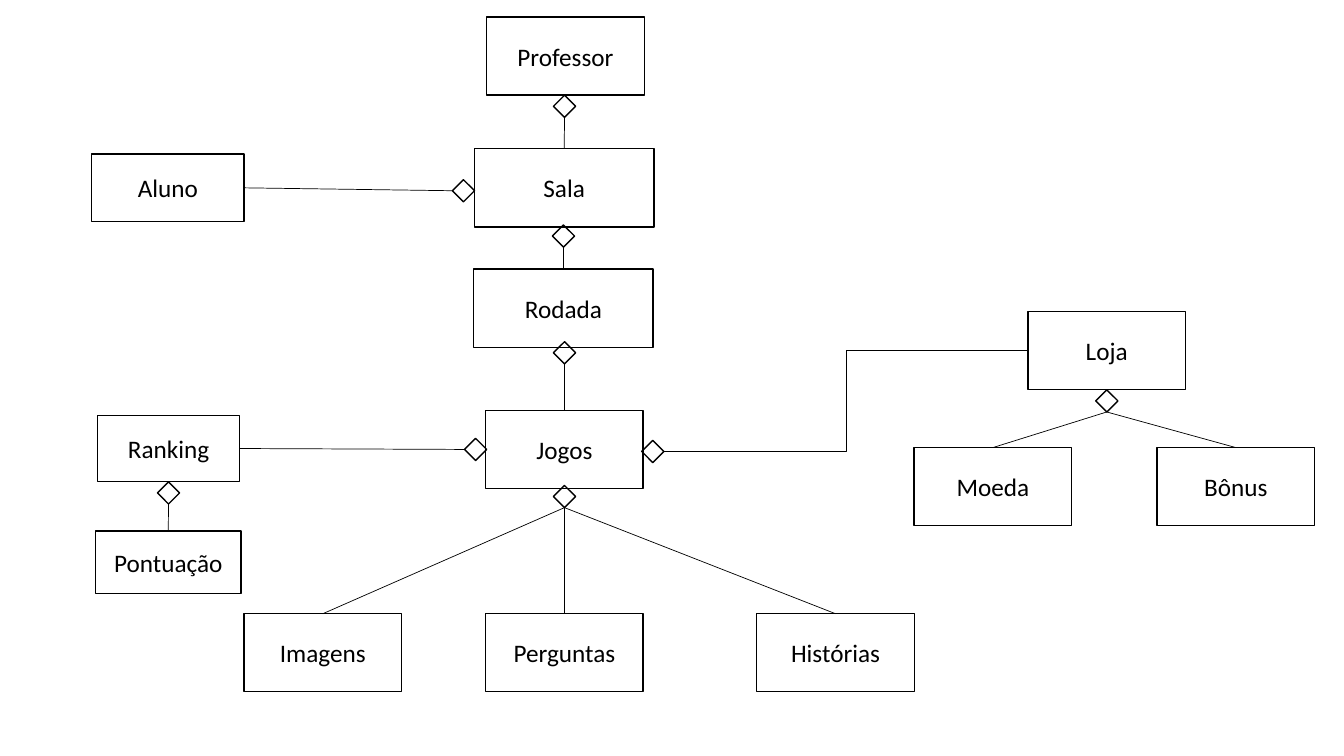
from pptx import Presentation
from pptx import util as u
from pptx.dml.color import RGBColor
from pptx.enum import shapes, text
from pptx.oxml.ns import qn

COLORS = {"ink": "000000"}
FONT = "Calibri"
W, H = u.Inches(13.33), u.Inches(7.5)
DIAMOND = u.Inches(0.22)
TOP, LEFT, BOTTOM, RIGHT = range(4)  # connection sites of rectangles and diamonds

# Box sizes, in percent of the slide's width and height
NORMAL, WIDE = (11.72, 10.33), (13.35, 10.4)

# Class name: centre (percent of the slide), size
CLASSES = {
    "Professor": (42.08, 7.43, NORMAL),
    "Aluno": (12.49, 24.85, (11.33, 8.93)),
    "Sala": (41.98, 24.83, WIDE),
    "Rodada": (41.93, 40.8, WIDE),
    "Loja": (82.35, 46.4, NORMAL),
    "Ranking": (12.54, 59.33, (10.58, 8.8)),
    "Jogos": (42, 59.45, NORMAL),
    "Moeda": (73.88, 64.37, NORMAL),
    "Bônus": (91.95, 64.37, NORMAL),
    "Pontuação": (12.52, 74.4, (10.8, 8.27)),
    "Imagens": (24.02, 86.35, NORMAL),
    "Perguntas": (42, 86.35, NORMAL),
    "Histórias": (62.17, 86.35, NORMAL),
}

# Whole, side of its diamond, overlap and sideways shift (percent of height), parts
AGGREGATIONS = [
    ("Professor", BOTTOM, 0, -0.13, ["Sala"]),
    ("Sala", LEFT, 0, 0.4, ["Aluno"]),
    ("Sala", BOTTOM, 0.27, -0.1, ["Rodada"]),
    ("Rodada", BOTTOM, 0.8, 0.13, ["Jogos"]),
    ("Jogos", LEFT, 0.13, 0, ["Ranking"]),
    ("Jogos", RIGHT, 0.2, 0.27, ["Loja"]),
    ("Jogos", BOTTOM, 0.4, 0, ["Imagens", "Perguntas", "Histórias"]),
    ("Ranking", BOTTOM, 0, 0, ["Pontuação"]),
    ("Loja", BOTTOM, 0, 0, ["Moeda", "Bônus"]),
]


def across(pct):
    return round(W * pct / 100)


def down(pct):
    return round(H * pct / 100)


def ink_line(s, width):
    s.line.color.rgb = RGBColor.from_string(COLORS["ink"])
    s.line.width = u.Pt(width)


def add_outline(slide, kind, x, y, w, h):
    """Unfilled shape centred on x, y."""
    s = slide.shapes.add_shape(kind, x - w // 2, y - h // 2, w, h)
    s.shadow.inherit = False
    s.fill.background()
    ink_line(s, 1)
    return s


def add_class(slide, name, x, y, size):
    s = add_outline(slide, shapes.MSO_SHAPE.RECTANGLE,
                    across(x), down(y), across(size[0]), down(size[1]))
    tf = s.text_frame
    tf.word_wrap = True
    tf.vertical_anchor = text.MSO_ANCHOR.MIDDLE
    p = tf.paragraphs[0]
    p.alignment = text.PP_ALIGN.CENTER
    r = p.add_run()
    r.text = name
    r.font.name, r.font.size = FONT, u.Pt(18)
    r.font.color.rgb = RGBColor.from_string(COLORS["ink"])
    return s


def add_diamond(slide, whole, side, overlap, shift):
    """Diamond just outside one side of the whole."""
    x = whole.left + whole.width // 2
    y = whole.top + whole.height // 2
    reach = DIAMOND // 2 - down(overlap)
    if side == BOTTOM:
        x, y = x + down(shift), whole.top + whole.height + reach
    elif side == LEFT:
        x, y = whole.left - reach, y + down(shift)
    else:
        x, y = whole.left + whole.width + reach, y + down(shift)
    return add_outline(slide, shapes.MSO_SHAPE.DIAMOND, x, y, DIAMOND, DIAMOND)


def add_link(slide, part, diamond, side):
    """Line from the facing side of the part to the tip of the diamond."""
    kind = shapes.MSO_CONNECTOR.ELBOW if side == RIGHT else shapes.MSO_CONNECTOR.STRAIGHT
    c = slide.shapes.add_connector(kind, 0, 0, 0, 0)
    c.begin_connect(part, (side + 2) % 4)
    c.end_connect(diamond, side)
    ink_line(c, 0.5)
    sp_pr = c._element.spPr
    sp_pr.append(sp_pr.makeelement(qn("a:effectLst"), {}))


def main():
    prs = Presentation()
    prs.slide_width, prs.slide_height = W, H
    slide = prs.slides.add_slide(prs.slide_layouts[6])

    # Classes
    boxes = {name: add_class(slide, name, *place) for name, place in CLASSES.items()}

    # Aggregations
    for whole, side, overlap, shift, parts in AGGREGATIONS:
        diamond = add_diamond(slide, boxes[whole], side, overlap, shift)
        for part in parts:
            add_link(slide, boxes[part], diamond, side)

    prs.save("out.pptx")


main()
